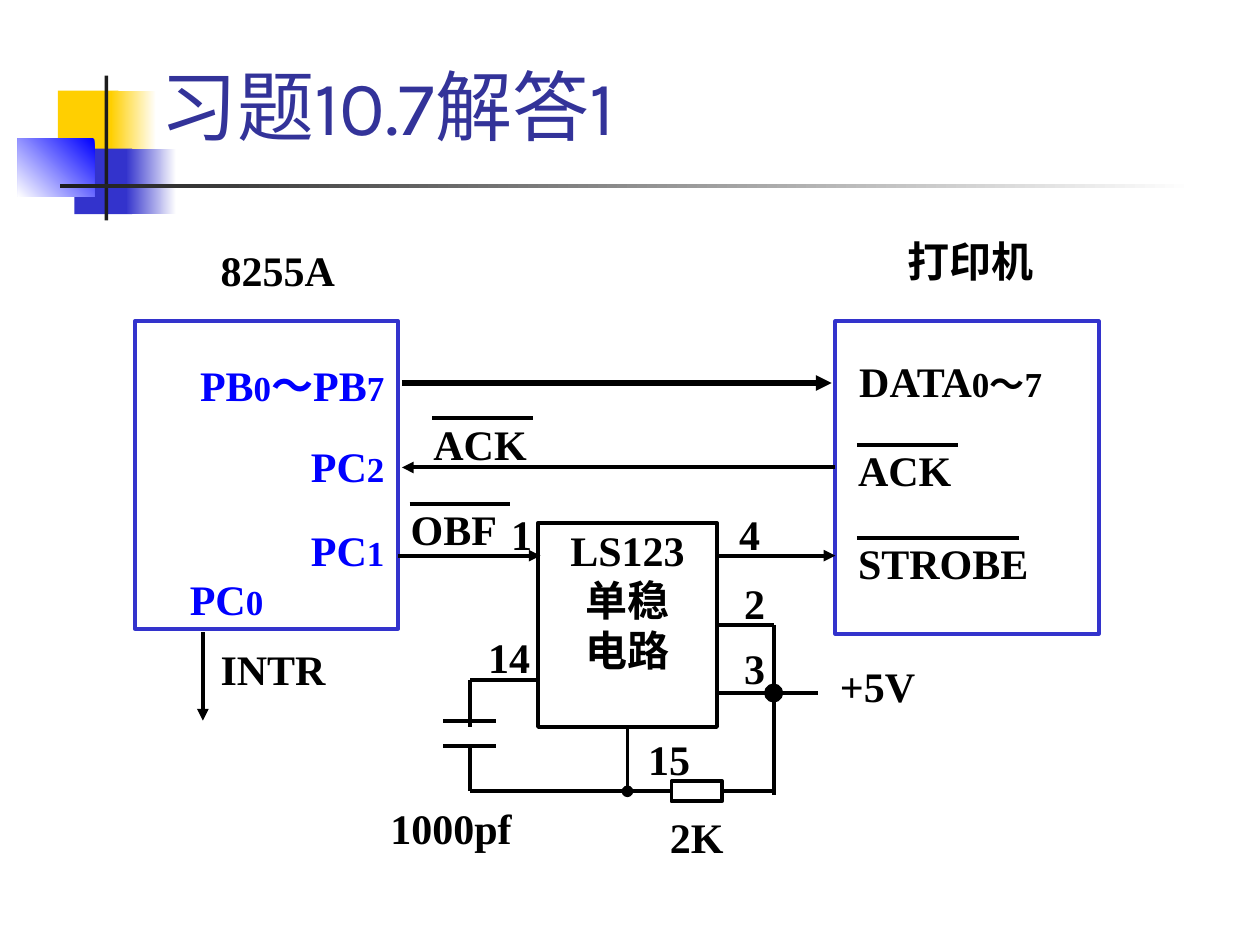
from lxml import etree
from pptx import Presentation
from pptx.dml.color import RGBColor
from pptx.enum import shapes, text
from pptx.oxml import ns
from pptx.util import Inches, Pt

COLORS = {"black": "000000", "navy": "333399", "blue": "0000FF", "frame": "3333CC",
          "gold": "FFCF01", "ink": "1C1C1C", "white": "FFFFFF"}
FONT = "Times New Roman"
ALIGN = {"l": text.PP_ALIGN.LEFT, "c": text.PP_ALIGN.CENTER, "r": text.PP_ALIGN.RIGHT}
RECT, OVAL = shapes.MSO_SHAPE.RECTANGLE, shapes.MSO_SHAPE.OVAL


def rgb(name):
    return RGBColor.from_string(COLORS[name])


def add_shape(s, x, y, w, h, fill=None, line=None, kind=RECT):
    """Fill is a colour name, a (start, end, angle) gradient or None."""
    sp = s.shapes.add_shape(kind, Inches(x), Inches(y), Inches(w), Inches(h))
    sp.shadow.inherit = False
    if fill is None:
        sp.fill.background()
    elif isinstance(fill, tuple):
        sp.fill.gradient()
        for stop, name in zip(sp.fill.gradient_stops, fill):
            stop.color.rgb = rgb(name)
        sp.fill.gradient_angle = fill[2]
    else:
        sp.fill.solid()
        sp.fill.fore_color.rgb = rgb(fill)
    if line:
        sp.line.color.rgb = rgb(line)
        sp.line.width = Pt(2.25)
    else:
        sp.line.fill.background()
    return sp


def write(sp, lines, align="l", color="black"):
    """Each line is a list of strings: full size and subscript size in turn."""
    tf = sp.text_frame
    tf.word_wrap = True
    tf.vertical_anchor = text.MSO_ANCHOR.TOP
    tf.margin_left = tf.margin_right = tf.margin_top = tf.margin_bottom = Inches(0.01)
    for i, parts in enumerate(lines):
        p = tf.add_paragraph() if i else tf.paragraphs[0]
        p.alignment = ALIGN[align]
        p.font.name, p.font.bold = FONT, True
        p.font.color.rgb = rgb(color)
        for j, part in enumerate(parts):
            r = p.add_run()
            r.text = part
            r.font.size = Pt(20 if j % 2 else 24)


def label(s, x, y, w, *parts, align="l", color="black", h=0.63):
    box = s.shapes.add_textbox(Inches(x), Inches(y), Inches(w), Inches(h))
    write(box, [parts], align, color)


def wire(s, x1, y1, x2, y2, end=None, width=2.25, start_at=None, end_at=None):
    """Straight line; start_at and end_at are (shape, side) joints."""
    c = s.shapes.add_connector(shapes.MSO_CONNECTOR.STRAIGHT,
                               Inches(x1), Inches(y1), Inches(x2), Inches(y2))
    c.line.color.rgb = rgb("black")
    c.line.width = Pt(width)
    if end:
        etree.SubElement(c.line._get_or_add_ln(), ns.qn("a:tailEnd"), type=end)
    etree.SubElement(c._element.spPr, ns.qn("a:effectLst"))
    if start_at:
        c.begin_connect(*start_at)
    if end_at:
        c.end_connect(*end_at)


def overlined(s, x, y, name, bar):
    label(s, x, y, 1.45, name)
    wire(s, x, y + 0.01, x + bar, y + 0.01)


def header(s, x, y, title):
    # Coloured blocks and the two rules
    for dx, dy, w, h, fill in [
        (0.32, 0.12, 0.48, 0.52, "gold"),
        (0.74, 0.12, 0.36, 0.52, ("white", "gold", 180)),
        (0.45, 0.58, 0.46, 0.52, "frame"),
        (0.86, 0.58, 0.4, 0.52, ("white", "frame", 180)),
        (0, 0.5, 0.61, 0.46, ("blue", "white", 225)),
        (0.69, 0, 0.03, 1.15, "ink"),
        (0.34, 0.86, 9, 0.03, ("white", "ink", 180)),
    ]:
        add_shape(s, x + dx, y + dy, w, h, fill)
    # Title
    sp = s.shapes.title
    sp.left, sp.top = Inches(x + 1.03), Inches(y - 0.27)
    sp.width, sp.height = Inches(6.17), Inches(0.92)
    tf = sp.text_frame
    tf.text = title
    tf.auto_size = text.MSO_AUTO_SIZE.NONE
    tf.vertical_anchor = text.MSO_ANCHOR.BOTTOM
    p = tf.paragraphs[0]
    p.alignment = ALIGN["l"]
    p.font.name, p.font.size = "Karla", Pt(44)
    p.font.color.rgb = rgb("navy")


def interface(s, x, y, w, h):
    add_shape(s, x, y, w, h, line="frame")
    label(s, x + 0.25, y - 0.62, 1.77, "8255A", align="c")
    # Port pins
    pins = [(0.29, "PB", "0", "～PB", "7"), (0.94, "PC", "2"), (1.6, "PC", "1")]
    for dy, *parts in pins:
        label(s, x + 0.1, y + dy, w - 0.2, *parts, align="r", color="blue")
    label(s, x - 0.43, y + 1.99, 1.46, "PC", "0", align="r", color="blue")
    # Interrupt request
    wire(s, x + 0.54, y + h + 0.03, x + 0.54, y + h + 0.73, "triangle")
    label(s, x + 0.67, y + h + 0.11, 1.45, "INTR")


def printer(s, x, y, w, h):
    add_shape(s, x, y, w, h, line="frame")
    label(s, x + 0.08, y - 0.69, 1.98, "打印机", align="c")
    label(s, x + 0.18, y + 0.26, 2.23, "DATA", "0～7")
    overlined(s, x + 0.17, y + 0.97, "ACK", 0.8)
    overlined(s, x + 0.17, y + 1.71, "STROBE", 1.29)


def signals(s, left, right, data_y, ack_y):
    wire(s, left + 0.03, data_y, right - 0.03, data_y, "triangle", width=3)
    wire(s, right, ack_y, left + 0.03, ack_y, "triangle")
    overlined(s, left + 0.27, ack_y - 0.4, "ACK", 0.8)
    overlined(s, left + 0.09, ack_y + 0.28, "OBF", 0.8)


def monostable(s, x, y, w, h, left, right):
    chip = add_shape(s, x, y, w, h, line="black")
    write(chip, [["LS123"], ["单稳"], ["电路"]], "c")
    edge, supply_x, cap_x = x + w, x + 1.87, x - 0.54
    pulse_y, ground_y = y + 0.26, y + 2.13
    # Pin numbers
    for dx, dy, pin in [(-0.7, -0.12, "1"), (1.11, -0.12, "4"), (1.15, 0.42, "2"),
                        (1.15, 0.94, "3"), (-0.8, 0.85, "14"), (0.47, 1.66, "15")]:
        label(s, x + dx, y + dy, 1.14, pin, align="c", h=0.37)
    # Pulse in and out
    wire(s, left, pulse_y, x + 0.02, pulse_y, "triangle")
    wire(s, edge, pulse_y, right, pulse_y, "triangle")
    # Supply
    wire(s, edge, y + 0.81, supply_x, y + 0.81)
    wire(s, edge, y + 1.35, x + 2.22, y + 1.35)
    wire(s, supply_x, y + 0.81, supply_x, ground_y + 0.03)
    add_shape(s, supply_x - 0.06, y + 1.29, 0.12, 0.12, "black", "black", OVAL)
    label(s, x + 2.18, y + 1.08, 1.03, "+5V", align="c")
    # Capacitor
    wire(s, x, y + 1.25, cap_x, y + 1.25)
    wire(s, cap_x, y + 1.25, cap_x, y + 1.62)
    for plate_y in (y + 1.57, y + 1.77):
        wire(s, cap_x - 0.21, plate_y, cap_x + 0.21, plate_y)
    wire(s, cap_x, y + 1.77, cap_x, ground_y)
    label(s, x - 1.26, y + 2.21, 1.14, "1000pf", align="c")
    # Resistor and its leads
    resistor = add_shape(s, x + 1.06, ground_y - 0.08, 0.4, 0.16, line="black")
    wire(s, cap_x, ground_y, x + 1.06, ground_y, end_at=(resistor, 1))
    wire(s, x + 1.46, ground_y, supply_x, ground_y, start_at=(resistor, 3))
    label(s, x + 0.69, y + 2.28, 1.14, "2K", align="c")
    middle = x + w / 2
    wire(s, middle, y + h, middle, ground_y, "oval", start_at=(chip, 2))


def main():
    prs = Presentation()
    prs.slide_width, prs.slide_height = Inches(10), Inches(7.5)
    s = prs.slides.add_slide(prs.slide_layouts[5])
    header(s, 0.14, 0.6, "习题10.7解答1")
    interface(s, 1.07, 2.55, 2.09, 2.44)
    printer(s, 6.63, 2.55, 2.09, 2.48)
    signals(s, 3.16, 6.63, 3.04, 3.71)
    monostable(s, 4.27, 4.15, 1.42, 1.62, 3.16, 6.63)
    prs.save("out.pptx")


if __name__ == "__main__":
    main()
